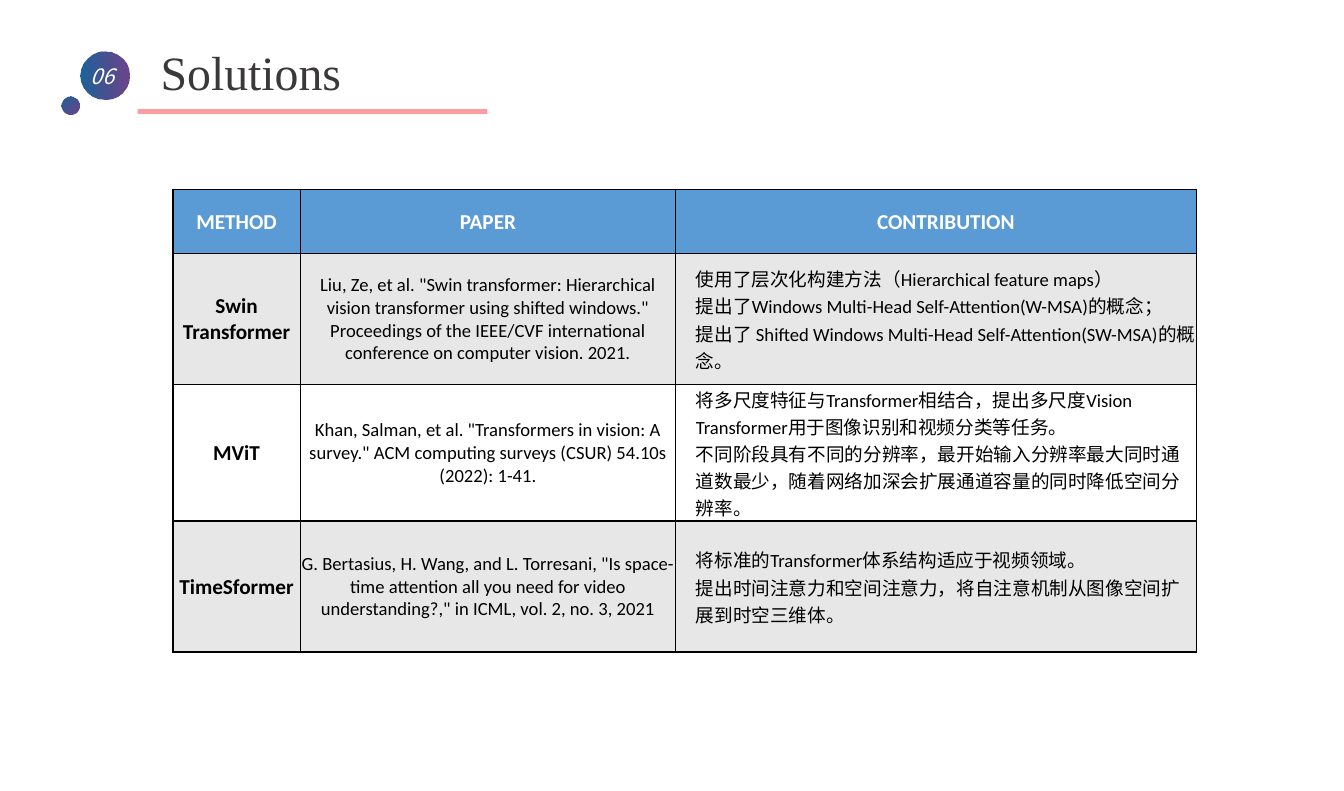
"""Build the "Solutions" slide: a numbered title above a table of video transformer methods."""
from lxml import etree
from pptx import Presentation, util as u
from pptx.dml.color import RGBColor
from pptx.enum import shapes, text
from pptx.oxml.ns import qn

TITLE, NUMBER = "Solutions", "06"
HEADER = ("METHOD", "PAPER", "CONTRIBUTION")
METHODS = [
    ("Swin Transformer",
     'Liu, Ze, et al. "Swin transformer: Hierarchical vision transformer using shifted windows." '
     "Proceedings of the IEEE/CVF international conference on computer vision. 2021.",
     "使用了层次化构建方法（Hierarchical feature maps）\n"
     "提出了Windows Multi-Head Self-Attention(W-MSA)的概念；\n"
     "提出了 Shifted Windows Multi-Head Self-Attention(SW-MSA)的概念。"),
    ("MViT",
     'Khan, Salman, et al. "Transformers in vision: A survey." '
     "ACM computing surveys (CSUR) 54.10s (2022): 1-41.",
     "将多尺度特征与Transformer相结合，提出多尺度Vision Transformer用于图像识别和视频分类等任务。\n"
     "不同阶段具有不同的分辨率，最开始输入分辨率最大同时通道数最少，"
     "随着网络加深会扩展通道容量的同时降低空间分辨率。"),
    ("TimeSformer",
     'G. Bertasius, H. Wang, and L. Torresani, "Is space-time attention all you need '
     'for video understanding?," in ICML, vol. 2, no. 3, 2021',
     "将标准的Transformer体系结构适应于视频领域。\n"
     "提出时间注意力和空间注意力，将自注意机制从图像空间扩展到时空三维体。"),
]

SIZE = (14.06, 8.27)
BOXES = {
    "title": (11.24, 4.84, 27.67, 8.59),
    "underline": (10.24, 13.78, 26.03, 0.6),
    "badge": (5.97, 6.53, 3.63, 6.05),
    "dot": (4.55, 12.21, 1.35, 2.3),
    "number": (4.98, 7.38, 5.26, 4.47),
}
TABLE_AT = (12.87, 23.94)
COLUMNS = (9.46, 27.95, 38.76)
ROWS = (8.1,) + (16.57,) * len(METHODS)

CJK = "Noto Sans CJK SC"
THEME = {
    "title": {"name": "Times New Roman", "size": 36, "color": "3B3838", "bold": False},
    "number": {"name": CJK, "size": 16, "color": "FFFFFF", "italic": True},
    "header": {"name": "Calibri", "size": 16, "color": "FFFFFF", "bold": True},
    "method": {"name": "Calibri", "size": 16, "color": "000000", "bold": True},
    "body": {"name": "Calibri", "size": 14, "color": "000000", "bold": False},
    "underline": "FD9D9D",
    "gradient": ("1C6299", "5C307D"),
    "header_fill": "5B9BD5",
    "bands": ("E7E7E7", "FFFFFF"),
    "border": "000000",
}


def place(box):
    """Turn percentages of the slide into lengths."""
    return [u.Inches(round(share * SIZE[i % 2] / 100, 2)) for i, share in enumerate(box)]


def write(tf, content, style, align, indent=0):
    """Fill a text frame with one formatted paragraph per line."""
    for i, line in enumerate(content.split("\n")):
        p = tf.paragraphs[0] if i == 0 else tf.add_paragraph()
        p.alignment = align
        if indent:
            p._p.get_or_add_pPr().set("marL", str(u.Inches(indent)))
        r = p.add_run()
        r.text = line
        for name, value in THEME[style].items():
            if name == "color":
                r.font.color.rgb = RGBColor.from_string(value)
            else:
                setattr(r.font, name, u.Pt(value) if name == "size" else value)
        etree.SubElement(r._r.get_or_add_rPr(), qn("a:ea"), typeface=CJK)


def add_plain(s, kind, box):
    """Add a preset shape without line or shadow."""
    sp = s.shapes.add_shape(kind, *place(BOXES[box]))
    sp.shadow.inherit = False
    sp.line.fill.background()
    return sp


def add_bubble(s, box, angle):
    """Add a gradient circle."""
    sp = add_plain(s, shapes.MSO_SHAPE.OVAL, box)
    sp.fill.gradient()
    sp.fill.gradient_angle = angle
    for stop, color in zip(sp.fill.gradient_stops, THEME["gradient"]):
        stop.color.rgb = RGBColor.from_string(color)
    last = list(sp._element.spPr.iter(qn("a:srgbClr")))[-1]
    etree.SubElement(last, qn("a:alpha"), val="90000")


def format_cell(cell, fill):
    """Set margins, borders and fill of a table cell."""
    margins = {"margin_left": 0.01, "margin_right": 0.01, "margin_top": 0.01, "margin_bottom": 0}
    for name, value in margins.items():
        setattr(cell, name, u.Inches(value))
    cell.vertical_anchor = text.MSO_ANCHOR.MIDDLE
    tc_pr = cell._tc.get_or_add_tcPr()
    for side in ("lnL", "lnR", "lnT", "lnB"):
        line = etree.SubElement(tc_pr, qn("a:" + side), w=str(u.Pt(1)))
        solid = etree.SubElement(line, qn("a:solidFill"))
        etree.SubElement(solid, qn("a:srgbClr"), val=THEME["border"])
    cell.fill.solid()
    cell.fill.fore_color.rgb = RGBColor.from_string(fill)


def add_methods(s):
    """Add the table of methods."""
    box = place(TABLE_AT + (sum(COLUMNS), sum(ROWS)))
    table = s.shapes.add_table(len(ROWS), len(COLUMNS), *box).table
    for col, share in zip(table.columns, COLUMNS):
        col.width = place((share,))[0]
    for row, share in zip(table.rows, ROWS):
        row.height = place((0, share))[1]
    for i, record in enumerate([HEADER] + METHODS):
        fill = THEME["bands"][(i - 1) % 2] if i else THEME["header_fill"]
        for j, content in enumerate(record):
            cell = table.cell(i, j)
            format_cell(cell, fill)
            style = "header" if i == 0 else "method" if j == 0 else "body"
            align = text.PP_ALIGN.LEFT if i and j == 2 else text.PP_ALIGN.CENTER
            write(cell.text_frame, content, style, align, 0.2 if j == 2 else 0)


def main():
    """Build and save the slide."""
    prs = Presentation()
    prs.slide_width, prs.slide_height = map(u.Inches, SIZE)
    s = prs.slides.add_slide(prs.slide_layouts[5])
    add_methods(s)

    title = s.shapes.title
    title.left, title.top, title.width, title.height = place(BOXES["title"])
    title.text_frame.auto_size = text.MSO_AUTO_SIZE.NONE
    title.text_frame.vertical_anchor = text.MSO_ANCHOR.TOP
    write(title.text_frame, TITLE, "title", text.PP_ALIGN.LEFT)

    underline = add_plain(s, shapes.MSO_SHAPE.RECTANGLE, "underline")
    underline.fill.solid()
    underline.fill.fore_color.rgb = RGBColor.from_string(THEME["underline"])

    add_bubble(s, "badge", 0)
    add_bubble(s, "dot", 310)
    number = s.shapes.add_textbox(*place(BOXES["number"]))
    number.text_frame.word_wrap = True
    write(number.text_frame, NUMBER, "number", text.PP_ALIGN.CENTER)
    prs.save("out.pptx")


if __name__ == "__main__":
    main()
